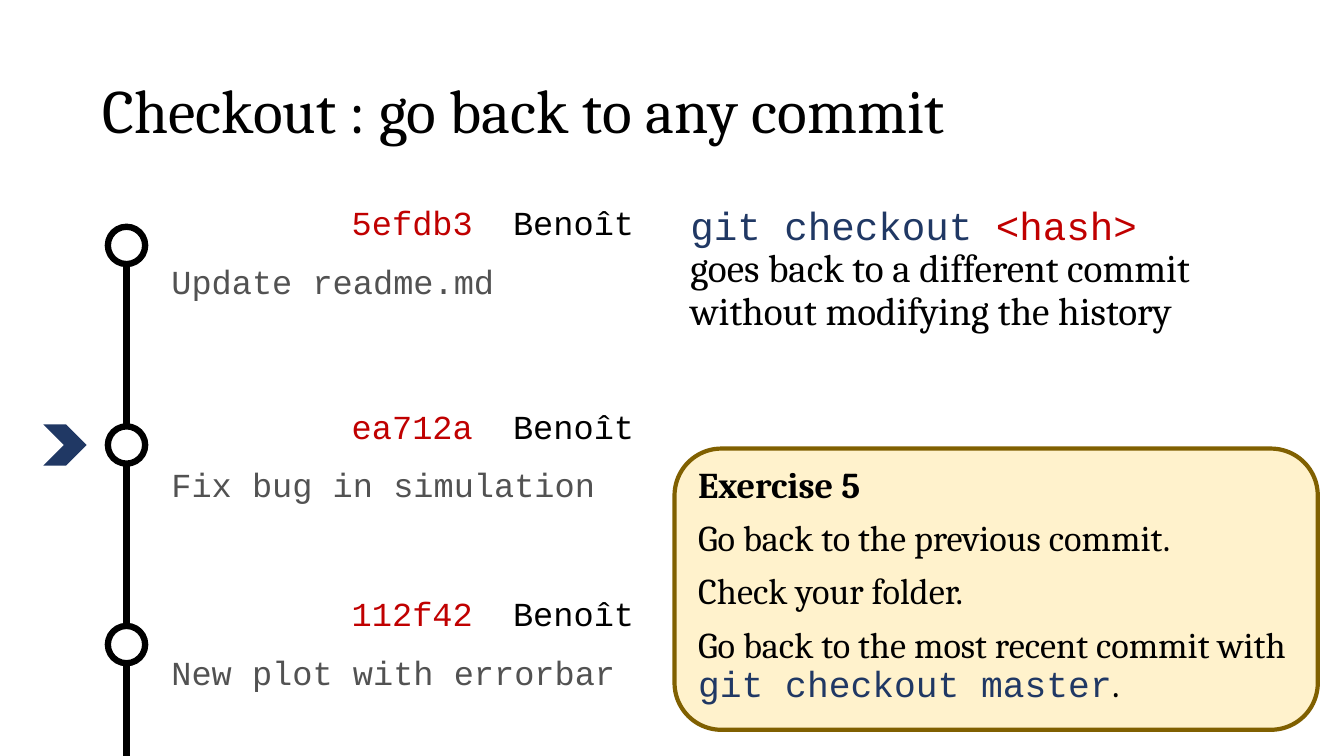
import pptx
import pptx.dml.color
import pptx.enum.shapes
import pptx.enum.text
import pptx.oxml
import pptx.util
from pptx.util import Inches

COLOURS = {"ink": "000000", "navy": "203864", "red": "C00000",
           "grey": "525252", "cream": "FFF2CC", "olive": "806000"}
SERIF, MONO = "Cambria", "Courier New"
SHAPES = pptx.enum.shapes.MSO_SHAPE
ANCHORS = pptx.enum.text.MSO_ANCHOR
DOT = 0.37
COMMITS = [("5efdb3", "Update readme.md", 2),
           ("ea712a", "Fix bug in simulation", 4.02),
           ("112f42", "New plot with errorbar", 5.88)]


def colour(name):
    """Return the named colour."""
    return pptx.dml.color.RGBColor.from_string(COLOURS[name])


def write(frame, paragraphs, size, anchor=ANCHORS.TOP):
    """Fill a frame with paragraphs of (text, font, colour, bold) runs."""
    frame.word_wrap = True
    frame.vertical_anchor = anchor
    for index, runs in enumerate(paragraphs):
        paragraph = frame.add_paragraph() if index else frame.paragraphs[0]
        paragraph.alignment = pptx.enum.text.PP_ALIGN.LEFT
        paragraph.line_spacing = 0.9
        paragraph.space_before = pptx.util.Pt(10 if index else 0)
        for text, font, ink, bold in runs:
            run = paragraph.add_run()
            run.text = text
            run.font.name = font
            run.font.size = pptx.util.Pt(size)
            run.font.bold = bold
            run.font.color.rgb = colour(ink)


def add_text(slide, box, paragraphs, size, anchor=ANCHORS.TOP):
    """Add a text box and return its frame."""
    frame = slide.shapes.add_textbox(*map(Inches, box)).text_frame
    write(frame, paragraphs, size, anchor)
    return frame


def add_figure(slide, kind, box, fill=None, line=None, width=0):
    """Add a preset shape without shadow."""
    figure = slide.shapes.add_shape(kind, *map(Inches, box))
    figure.shadow.inherit = False
    if fill:
        figure.fill.solid()
        figure.fill.fore_color.rgb = colour(fill)
    else:
        figure.fill.background()
    if line:
        figure.line.color.rgb = colour(line)
        figure.line.width = pptx.util.Pt(width)
    else:
        figure.line.fill.background()
    return figure


def add_history(slide, box):
    """Draw the commit dots and the line that runs through them."""
    left, top, step, bottom = box
    centre = left + DOT / 2
    tops = [top + step * index for index in range(len(COMMITS))]
    for dot_top, end in zip(tops, tops[1:] + [bottom]):
        add_figure(slide, SHAPES.OVAL, (left, dot_top, DOT, DOT), None, "ink", 4.5)
        link = slide.shapes.add_connector(
            pptx.enum.shapes.MSO_CONNECTOR.STRAIGHT,
            Inches(centre), Inches(dot_top + DOT), Inches(centre), Inches(end))
        link.line.color.rgb = colour("ink")
        link.line.width = pptx.util.Pt(4.5)
        link._element.spPr.append(pptx.oxml.parse_xml(
            '<a:effectLst xmlns:a="http://schemas.openxmlformats.org/drawingml/2006/main"/>'))
    add_figure(slide, SHAPES.CHEVRON, (left - 0.64, tops[1] - 0.02, 0.43, 0.41), "navy")


def add_commit(slide, box, commit_hash, message):
    """Place a commit's hash and author above its message."""
    left, top, width, height = box
    add_text(slide, (left + 1.69, top, 3.11, height),
             [[(commit_hash, MONO, "red", False), ("  Benoît", MONO, "ink", False)]], 24)
    frame = add_text(slide, (left, top + 0.58, width, height),
                     [[(message, MONO, "grey", False)]], 24)
    frame.margin_left = frame.margin_right = 0


def add_exercise(slide, box):
    """Draw the exercise card."""
    card = add_figure(slide, SHAPES.ROUNDED_RECTANGLE, box, "cream", "olive", 3)
    write(card.text_frame, [
        [("Exercise 5", SERIF, "ink", True)],
        [("Go back to the previous commit.", SERIF, "ink", False)],
        [("Check your folder.", SERIF, "ink", False)],
        [("Go back to the most recent commit with  ", SERIF, "ink", False),
         ("git checkout master", MONO, "navy", False),
         (".", SERIF, "ink", False)]], 25.9)


def main():
    """Build and save the slide."""
    deck = pptx.Presentation()
    deck.slide_width, deck.slide_height = Inches(13.33), Inches(7.5)
    slide = deck.slides.add_slide(deck.slide_layouts[6])
    add_text(slide, (0.92, 0.4, 11.5, 1.45),
             [[("Checkout : go back to any commit", SERIF, "ink", False)]],
             44, ANCHORS.MIDDLE)
    add_text(slide, (6.75, 2, 5.51, 3.42),
             [[("git checkout ", MONO, "navy", False), ("<hash> ", MONO, "red", False),
               ("goes back to a different commit without modifying the history",
                SERIF, "ink", False)]], 28)
    add_history(slide, (1.07, 2.25, 1.98, 7.5))
    for commit_hash, message, top in COMMITS:
        add_commit(slide, (1.7, top, 4.67, 0.51), commit_hash, message)
    add_exercise(slide, (6.69, 4.45, 6.38, 2.79))
    deck.save("out.pptx")


if __name__ == "__main__":
    main()
